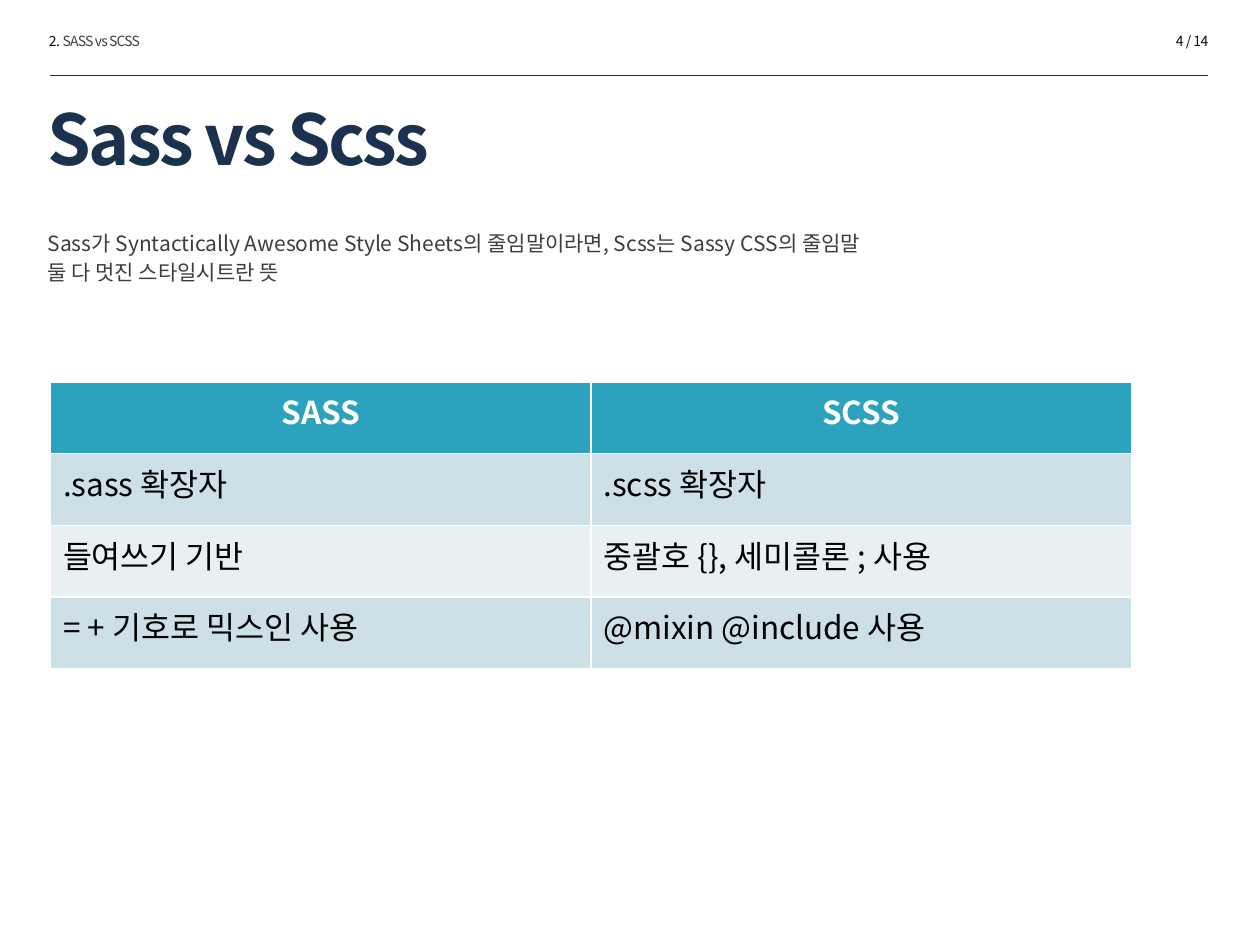
import pptx
import pptx.dml.color
import pptx.enum.shapes
import pptx.enum.text
import pptx.oxml.ns
import pptx.util
from lxml import etree

Inches = pptx.util.Inches
Pt = pptx.util.Pt
Align = pptx.enum.text.PP_ALIGN

theme = {
    "font": "Noto Sans CJK KR",
    "navy": "1C314E", "ink": "0D0D0D", "gray": "404040", "body": "3D3C3E",
    "white": "FFFFFF", "black": "000000",
    "header": "2DA2BF", "bands": ["CDE0E8", "E8F0F4"],
    "small_size": 8, "title_size": 40, "body_size": 12, "table_size": 18,
}


def color(name):
    return pptx.dml.color.RGBColor.from_string(theme.get(name, name))


def style(font, size, ink, bold=False, spacing=0):
    """Format a font for Latin and Korean text; spacing is in points."""
    font.size = Pt(theme[size])
    font.bold = bold
    font.color.rgb = color(ink)
    font.name = theme["font"]
    properties = font._element
    latin = properties.find(pptx.oxml.ns.qn("a:latin"))
    korean = etree.Element(pptx.oxml.ns.qn("a:ea"), typeface=theme["font"])
    latin.addnext(korean)
    if spacing:
        properties.set("spc", str(round(spacing * 100)))


deck = pptx.Presentation()
deck.slide_width = Inches(10)
deck.slide_height = Inches(7.5)
page = deck.slides.add_slide(deck.slide_layouts[5])

# Section name, in two shades
section = page.shapes.add_textbox(Inches(0.29), Inches(0.21), Inches(1.73), Inches(0.24))
section.text_frame.word_wrap = True
para = section.text_frame.paragraphs[0]
for text, ink, spacing in [("2. ", "ink", -0.3), ("SASS vs SCSS", "gray", -0.5)]:
    span = para.add_run()
    span.text = text
    style(span.font, "small_size", ink, spacing=spacing)

# Page number
number = page.shapes.add_textbox(Inches(7.96), Inches(0.21), Inches(1.73), Inches(0.24))
number.text_frame.word_wrap = True
para = number.text_frame.paragraphs[0]
para.text = "4 / 14"
para.alignment = Align.RIGHT
style(para.font, "small_size", "ink", spacing=-0.3)

# Rule under the header
rule = page.shapes.add_connector(
    pptx.enum.shapes.MSO_CONNECTOR.STRAIGHT,
    Inches(0.4), Inches(0.6), Inches(9.59), Inches(0.6))
rule.line.color.rgb = color("navy")
rule.line.width = Pt(0.25)
etree.SubElement(rule._element.spPr, pptx.oxml.ns.qn("a:effectLst"))

# Title
title = page.shapes.title
title.left, title.top = Inches(0.28), Inches(0.77)
title.width, title.height = Inches(7.65), Inches(0.64)
title.text_frame.auto_size = pptx.enum.text.MSO_AUTO_SIZE.NONE
title.text_frame.vertical_anchor = pptx.enum.text.MSO_ANCHOR.MIDDLE
para = title.text_frame.paragraphs[0]
para.text = "Sass vs Scss"
para.alignment = Align.LEFT
style(para.font, "title_size", "navy", bold=True, spacing=-1.5)

# Explanation
body = page.shapes.add_textbox(Inches(0.28), Inches(1.78), Inches(9.26), Inches(3.37))
body.text_frame.word_wrap = True
body.text_frame.text = (
    "Sass가 Syntactically Awesome Style Sheets의 줄임말이라면, Scss는 Sassy CSS의 줄임말\n"
    "둘 다 멋진 스타일시트란 뜻")
for para in body.text_frame.paragraphs:
    para.space_before = Pt(2.4)
    style(para.font, "body_size", "body")

# Comparison table
rows = [
    ("SASS", "SCSS"),
    (".sass 확장자", ".scss 확장자"),
    ("들여쓰기 기반", "중괄호 {}, 세미콜론 ; 사용"),
    ("= + 기호로 믹스인 사용", "@mixin @include 사용"),
]
table = page.shapes.add_table(
    len(rows), 2, Inches(0.4), Inches(3.03), Inches(8.58), Inches(2.28)).table
for row_index, row in enumerate(rows):
    is_header = row_index == 0
    fill = theme["header"] if is_header else theme["bands"][(row_index - 1) % 2]
    for column_index, text in enumerate(row):
        cell = table.cell(row_index, column_index)
        cell.fill.solid()
        cell.fill.fore_color.rgb = color(fill)
        para = cell.text_frame.paragraphs[0]
        para.text = text
        para.alignment = Align.CENTER if is_header else Align.LEFT
        style(para.font, "table_size", "white" if is_header else "black", bold=is_header)

deck.save("out.pptx")
